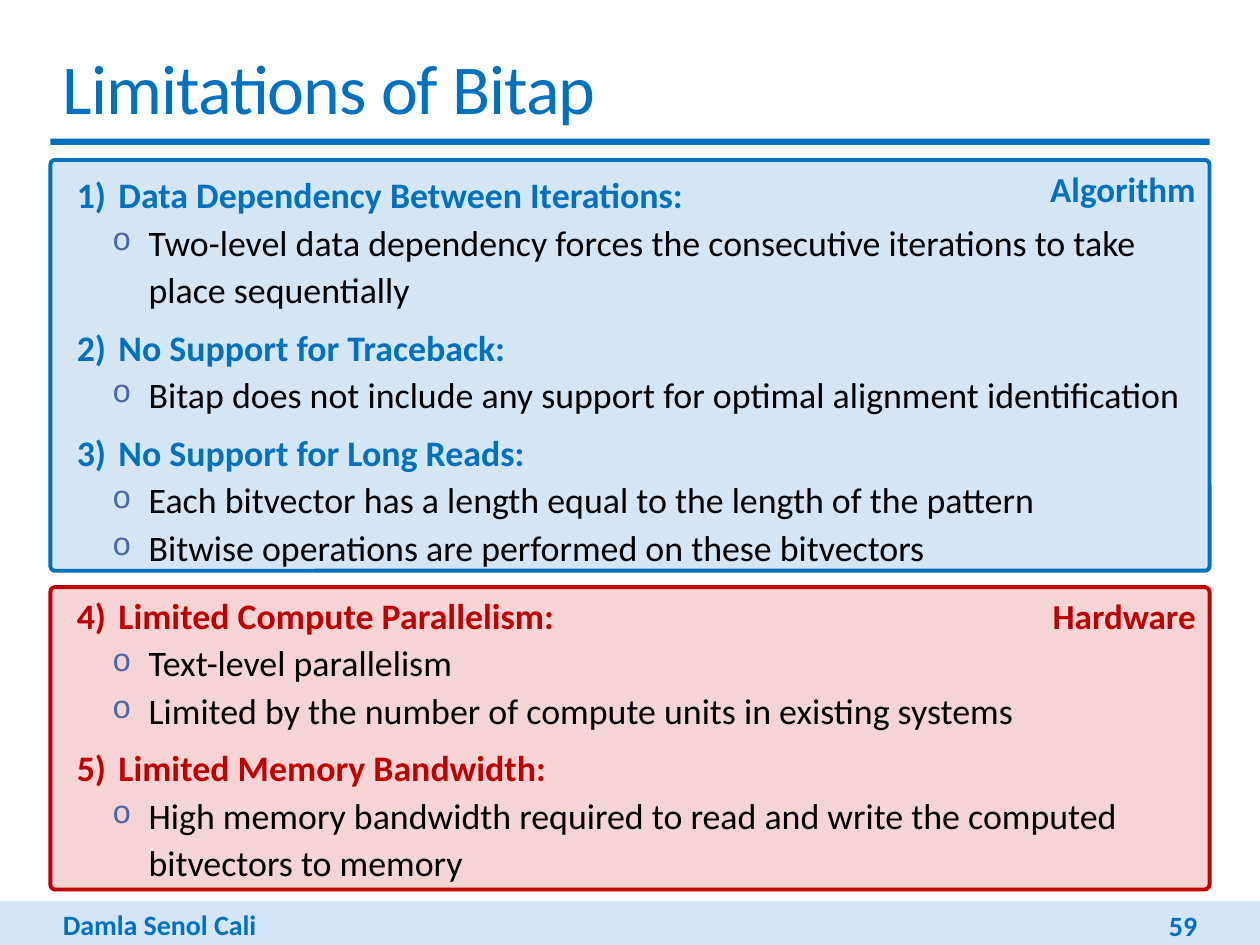
from lxml import etree
from pptx import Presentation
from pptx.dml.color import RGBColor
from pptx.enum.shapes import MSO_SHAPE as Shape
from pptx.enum.text import MSO_ANCHOR as Anchor, PP_ALIGN as Align
from pptx.oxml.ns import qn
from pptx.util import Inches, Pt

BLUE = RGBColor(0x00, 0x70, 0xC0)
RED = RGBColor(0xC0, 0x00, 0x00)
BLACK = RGBColor(0x00, 0x00, 0x00)
PALE = RGBColor(0xD4, 0xE5, 0xF7)
MARK = RGBColor(0x4A, 0x66, 0xAC)

deck = Presentation()
deck.slide_width, deck.slide_height = Inches(10), Inches(7.5)
slide = deck.slides.add_slide(deck.slide_layouts[6])
shapes = slide.shapes


def write(para, text, **form):
    run = para.add_run()
    run.text = text
    run.font.color.rgb = form.pop("color")
    for key, value in {"name": "Calibri", **form}.items():
        setattr(run.font, key, value)
    return run


def add_mark(para, color, tag, **attrs):
    props = para._p.get_or_add_pPr()
    tint = etree.SubElement(props, qn("a:buClr"))
    etree.SubElement(tint, qn("a:srgbClr"), val=str(color))
    if tag == "a:buChar":
        etree.SubElement(props, qn("a:buSzPct"), val="90000")
    face = "Courier New" if tag == "a:buChar" else "Calibri"
    etree.SubElement(props, qn("a:buFont"), typeface=face)
    etree.SubElement(props, qn(tag), **attrs)


# Footer band and title rule
for left, top, width, height, color in [
    (0, 7.15, 10, 0.35, PALE),
    (0.4, 1.1, 9.2, 0.05, BLUE),
]:
    bar = shapes.add_shape(Shape.RECTANGLE, Inches(left), Inches(top),
                           Inches(width), Inches(height))
    bar.shadow.inherit = False
    bar.fill.solid()
    bar.fill.fore_color.rgb = color
    bar.line.fill.background()

# Tinted panels with a label in the top right corner
for label, top, height, bend, color in [
    ("Hardware", 4.66, 2.4, 0.016, RED),
    ("Algorithm", 1.27, 3.26, 0.011, BLUE),
]:
    panel = shapes.add_shape(Shape.ROUNDED_RECTANGLE, Inches(0.4), Inches(top),
                             Inches(9.2), Inches(height))
    panel.adjustments[0] = bend
    panel.shadow.inherit = False
    panel.fill.solid()
    panel.fill.fore_color.rgb = color
    tint = panel.fill._xPr.find(qn("a:solidFill"))[0]
    etree.SubElement(tint, qn("a:alpha"), val="17000")
    panel.line.color.rgb = color
    panel.line.width = Pt(2.25)
    panel.text_frame.vertical_anchor = Anchor.TOP
    para = panel.text_frame.paragraphs[0]
    para.alignment = Align.RIGHT
    write(para, label, size=Pt(20), bold=True, color=color)

# Title, author and page number
for text, left, top, width, height, size, bold, anchor, align in [
    ("Limitations of Bitap", 0.4, 0.28, 9.2, 0.82, 40, False, Anchor.MIDDLE, Align.LEFT),
    ("Damla Senol Cali", 0.4, 7.15, 2.5, 0.37, 16, True, Anchor.TOP, Align.LEFT),
    ("59", 8.22, 7.19, 1.38, 0.3, 16, True, Anchor.MIDDLE, Align.RIGHT),
]:
    box = shapes.add_textbox(Inches(left), Inches(top), Inches(width), Inches(height))
    frame = box.text_frame
    frame.word_wrap = True
    frame.vertical_anchor = anchor
    para = frame.paragraphs[0]
    para.alignment = align
    run = write(para, text, size=Pt(size), bold=bold, color=BLUE)
    if size == 40:
        run.font._element.set("spc", "-50")

# Numbered limits, each with its points
limits = [
    ("Data Dependency Between Iterations:", BLUE, 0, [
        "Two-level data dependency forces the consecutive iterations to take place sequentially"]),
    ("No Support for Traceback:", BLUE, 6, [
        "Bitap does not include any support for optimal alignment identification"]),
    ("No Support for Long Reads:", BLUE, 6, [
        "Each bitvector has a length equal to the length of the pattern",
        "Bitwise operations are performed on these bitvectors"]),
    ("Limited Compute Parallelism:", RED, 12, [
        "Text-level parallelism",
        "Limited by the number of compute units in existing systems"]),
    ("Limited Memory Bandwidth:", RED, 6, [
        "High memory bandwidth required to read and write the computed bitvectors to memory"]),
]
body = shapes.add_textbox(Inches(0.4), Inches(1.29), Inches(9.2), Inches(5.47))
frame = body.text_frame
frame.word_wrap = True
frame.margin_left = frame.margin_right = 0
para = frame.paragraphs[0]
for num, (head, color, gap, points) in enumerate(limits, 1):
    if num > 1:
        para = frame.add_paragraph()
    para.line_spacing = 1.1
    para.space_before = Pt(gap)
    props = para._p.get_or_add_pPr()
    props.set("marL", str(Inches(0.54)))
    props.set("indent", str(Inches(-0.33)))
    add_mark(para, color, "a:buAutoNum", type="arabicParenR", startAt=str(num))
    write(para, head, size=Pt(20.5), bold=True, color=color)
    for point in points:
        para = frame.add_paragraph()
        para.level = 1
        para.line_spacing = 1.1
        para.space_before = Pt(0)
        props = para._p.get_or_add_pPr()
        props.set("marL", str(Inches(0.78)))
        props.set("indent", str(Inches(-0.29)))
        add_mark(para, MARK, "a:buChar", char="o")
        write(para, point, size=Pt(20.5), bold=False, color=BLACK)

deck.save("out.pptx")
